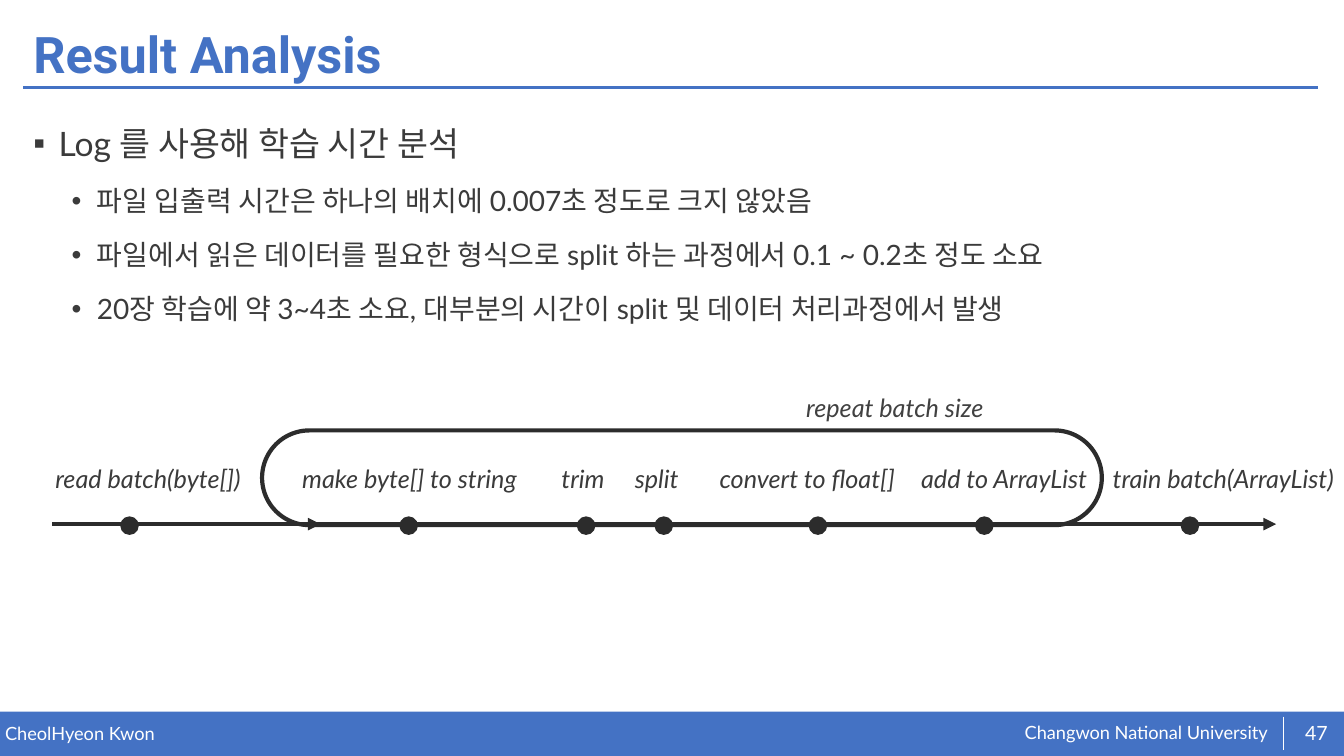
import pptx
import pptx.util
import pptx.dml.color
import pptx.enum.shapes
import pptx.enum.text
import pptx.oxml
import pptx.oxml.ns

WIDTH, HEIGHT = 13.33, 7.5
BLUE, WHITE, TEXT, INK, GRAY = "4472C4", "FFFFFF", "3B3B3B", "2C2C2C", "414141"

# All positions are percentages of the slide's width and height.
TITLE = "Result Analysis"
BULLETS = [
    (0, "Log 를 사용해 학습 시간 분석"),
    (1, "파일 입출력 시간은 하나의 배치에 0.007초 정도로 크지 않았음"),
    (1, "파일에서 읽은 데이터를 필요한 형식으로 split 하는 과정에서 0.1 ~ 0.2초 정도 소요"),
    (1, "20장 학습에 약 3~4초 소요, 대부분의 시간이 split 및 데이터 처리과정에서 발생"),
]
LEVELS = [  # bullet, indent in inches, size, space before
    ("▪", 0.25, 24, 10),
    ("•", 0.63, 20, 5),
]
STEPS = [  # label, label left, label width, dot centre
    ("read batch(byte[])", 3.38, 16, 9.64),
    ("make byte[] to string", 21.75, 17.78, 30.41),
    ("trim", 41.03, 5.1, 43.61),
    ("split", 46.5, 6.15, 49.39),
    ("convert to float[]", 52.8, 14.85, 60.86),
    ("add to ArrayList", 67.8, 14.85, 73.24),
    ("train batch(ArrayList)", 82.05, 17.95, 88.54),
]
FOOTERS = [  # text, box, size, centred
    ("Changwon National University", (76.24, 95.47, 19, 3.07), 13, False),
    ("CheolHyeon Kwon", (0.38, 95.6, 49.14, 2.93), 13, False),
    ("47", (96.15, 94.27, 3.6, 5.33), 14, True),
]
LABEL_TOP, LABEL_HEIGHT = 60.67, 5.33
AXIS, DOT_ROW, DOT_SIZE = 69.33, 69.53, 0.17
SHAPES = pptx.enum.shapes.MSO_SHAPE
ALIGN = pptx.enum.text.PP_ALIGN
ANCHOR = pptx.enum.text.MSO_ANCHOR


def across(share):
    return pptx.util.Inches(WIDTH * share / 100)


def down(share):
    return pptx.util.Inches(HEIGHT * share / 100)


def place(left, top, width, height):
    return across(left), down(top), across(width), down(height)


def color(code):
    return pptx.dml.color.RGBColor.from_string(code)


def add_xml(parent, tag, **attributes):
    element = pptx.oxml.parse_xml(f"<a:{tag} {pptx.oxml.ns.nsdecls('a')}/>")
    for name, value in attributes.items():
        element.set(name, value)
    parent.append(element)


def style(font, size, code, name="Lato", bold=False, italic=False):
    font.name, font.size = name, pptx.util.Pt(size)
    font.bold, font.italic = bold, italic
    font.color.rgb = color(code)


def add_text(page, text, box, size=18, code=TEXT, italic=False, inset=True, centred=False):
    frame = page.shapes.add_textbox(*place(*box)).text_frame
    frame.word_wrap = True
    frame.margin_right = 0
    if not inset:
        frame.margin_left = frame.margin_top = frame.margin_bottom = 0
    para = frame.paragraphs[0]
    if centred:
        frame.vertical_anchor = ANCHOR.MIDDLE
        para.alignment = ALIGN.CENTER
    span = para.add_run()
    span.text = text
    style(span.font, size, code, italic=italic)


def add_shape(page, kind, box, fill=None, line=None, weight=1):
    shape = page.shapes.add_shape(kind, *box)
    shape.shadow.inherit = False
    if fill:
        shape.fill.solid()
        shape.fill.fore_color.rgb = color(fill)
    else:
        shape.fill.background()
    if line:
        shape.line.color.rgb = color(line)
        shape.line.width = pptx.util.Pt(weight)
    else:
        shape.line.fill.background()
    return shape


def add_line(page, start, end, code, weight, arrow=False):
    line = page.shapes.add_connector(
        pptx.enum.shapes.MSO_CONNECTOR.STRAIGHT,
        across(start[0]), down(start[1]), across(end[0]), down(end[1]))
    line.line.color.rgb = color(code)
    line.line.width = pptx.util.Pt(weight)
    if arrow:
        add_xml(line.line._get_or_add_ln(), "tailEnd", type="triangle")
    add_xml(line._element.spPr, "effectLst")


def move(holder, box):
    holder.left, holder.top, holder.width, holder.height = place(*box)
    holder.text_frame.auto_size = pptx.enum.text.MSO_AUTO_SIZE.NONE


def fill_title(title):
    move(title, (1.73, 2.4, 96.45, 10.27))
    title.text_frame.text = TITLE
    title.text_frame.vertical_anchor = ANCHOR.MIDDLE
    para = title.text_frame.paragraphs[0]
    para.alignment = ALIGN.LEFT
    para.line_spacing = 0.9
    style(para.runs[0].font, 36, BLUE, name="Roboto", bold=True)


def fill_body(body):
    move(body, (1.73, 13.47, 96.45, 75.07))
    frame = body.text_frame
    for index, (level, text) in enumerate(BULLETS):
        bullet, indent, size, before = LEVELS[level]
        para = frame.add_paragraph() if index else frame.paragraphs[0]
        para.level = level
        para.line_spacing = 1.4
        para.space_before = pptx.util.Pt(before if index else 0)
        props = para._p.get_or_add_pPr()
        props.set("marL", str(pptx.util.Inches(indent)))
        props.set("indent", str(pptx.util.Inches(-0.25)))
        add_xml(props, "buFont", typeface="Arial")
        add_xml(props, "buChar", char=bullet)
        span = para.add_run()
        span.text = text
        style(span.font, size, TEXT)


def draw_footer(page):
    add_shape(page, SHAPES.RECTANGLE, place(0, 94.13, 100, 5.87), fill=BLUE)
    for text, box, size, centred in FOOTERS:
        add_text(page, text, box, size, WHITE, inset=False, centred=centred)
    add_line(page, (95.48, 94.8), (95.48, 99.2), WHITE, 0.5)


def draw_timeline(page):
    add_line(page, (3.9, AXIS), (94.95, AXIS), INK, 3, arrow=True)
    size = pptx.util.Inches(DOT_SIZE)
    for label, left, width, centre in STEPS:
        add_text(page, label, (left, LABEL_TOP, width, LABEL_HEIGHT), italic=True)
        dot = across(centre) - size // 2, down(DOT_ROW) - size // 2, size, size
        add_shape(page, SHAPES.OVAL, dot, fill=INK, line=INK)
    loop = add_shape(page, SHAPES.ROUNDED_RECTANGLE,
                     place(19.5, 56.93, 62.48, 12.53), line=INK, weight=3)
    loop.adjustments[0] = 0.5
    add_line(page, (21.68, AXIS), (23.85, AXIS), INK, 3, arrow=True)
    add_text(page, "repeat batch size", (59.25, 51.2, 16.05, LABEL_HEIGHT),
             code=GRAY, italic=True)


def main():
    deck = pptx.Presentation()
    deck.slide_width, deck.slide_height = across(100), down(100)
    page = deck.slides.add_slide(deck.slide_layouts[1])
    fill_title(page.shapes.title)
    fill_body(page.placeholders[1])
    add_line(page, (1.73, 11.6), (98.1, 11.6), BLUE, 2)
    draw_footer(page)
    draw_timeline(page)
    deck.save("out.pptx")


if __name__ == "__main__":
    main()
